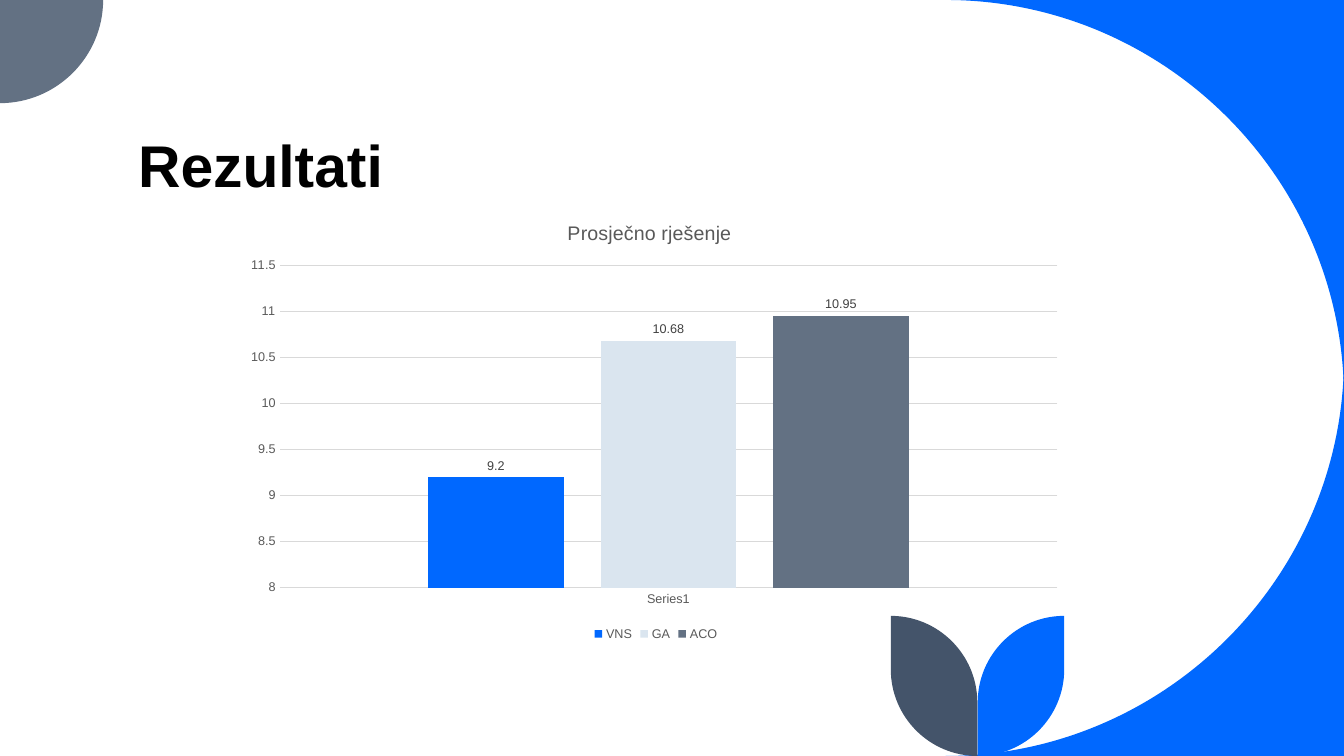
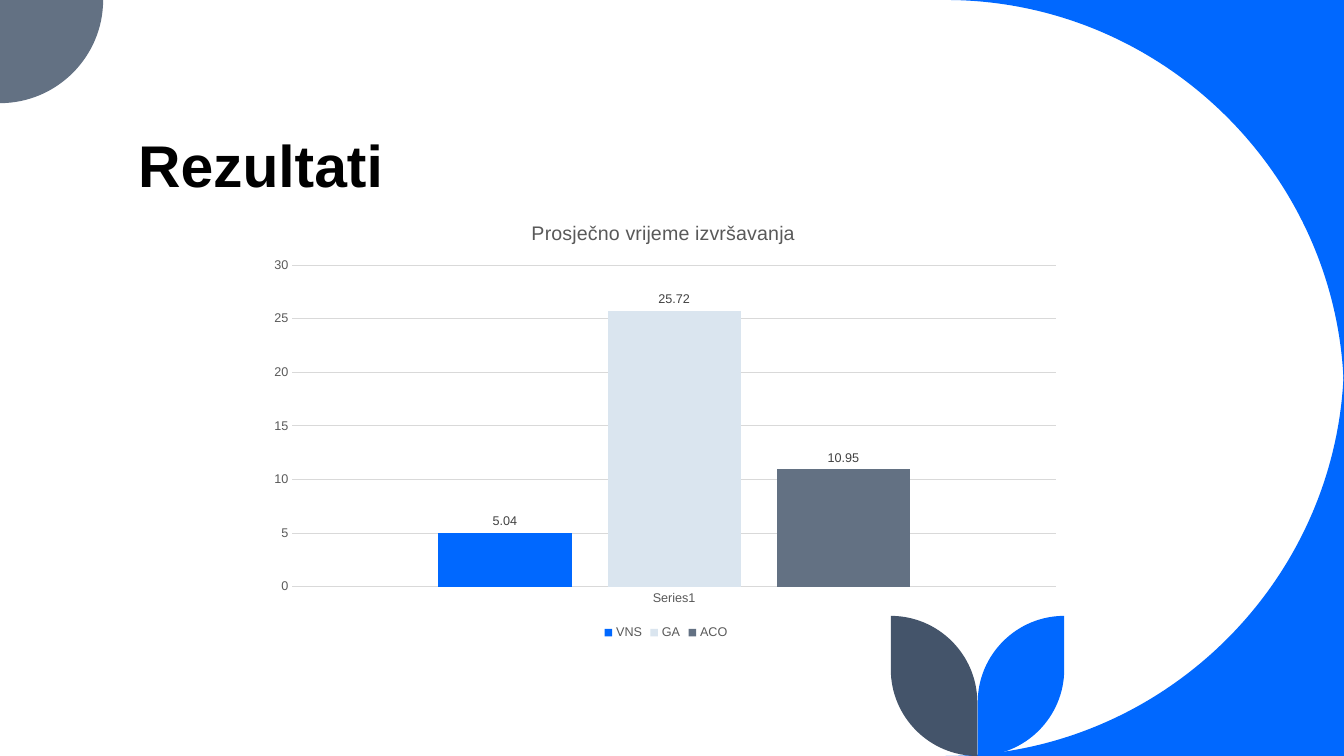
from lxml.etree import SubElement
from pptx import Presentation
from pptx.chart.data import CategoryChartData
from pptx.dml.color import RGBColor
from pptx.enum.chart import XL_CHART_TYPE, XL_LABEL_POSITION, XL_LEGEND_POSITION, XL_TICK_MARK
from pptx.enum.text import MSO_ANCHOR
from pptx.oxml.ns import qn
from pptx.util import Cm, Pt

# Shared style
FONT = "Arial"
BLUE, PALE, SLATE, NAVY = "0068FF", "DAE5EF", "637183", "44546A"
BLACK, TEXT_GREY, LABEL_GREY, LINE_GREY = "000000", "595959", "404040", "D9D9D9"
SERIES = {"VNS": BLUE, "GA": PALE, "ACO": SLATE}


def paint(target, color, size=None, bold=False):
    """Colour a fill, or style a font when a size is given."""
    if size:
        target.name, target.size, target.bold = FONT, Pt(size), bold
        target.color.rgb = RGBColor.from_string(color)
    else:
        target.solid()
        target.fore_color.rgb = RGBColor.from_string(color)


def place(element, index, **fractions):
    """Give a chart part a manual layout, as fractions of the chart."""
    for old_layout in element.findall(qn("c:layout")):
        element.remove(old_layout)
    layout = SubElement(element, qn("c:layout"))
    element.insert(index, layout)
    manual = SubElement(layout, qn("c:manualLayout"))
    if "w" in fractions:
        SubElement(manual, qn("c:layoutTarget"), val="inner")
    for name in ("xMode", "yMode"):
        SubElement(manual, qn("c:" + name), val="edge")
    for name, value in fractions.items():
        SubElement(manual, qn("c:" + name), val=str(value))


# Decorations: colour, quarter arcs (start, bend, end), closing corner
ROUNDNESS = 0.55
decorations = [
    (BLUE, [((23.83, 0), (33.87, 0), (33.87, 10.03))], [(33.87, 0)]),
    (BLUE, [((33.87, 9.02), (33.87, 19.05), (23.83, 19.05))], [(33.87, 19.05)]),
    (SLATE, [((2.6, 0), (2.6, 2.6), (0, 2.6))], [(0, 0)]),
    (BLUE, [((26.82, 16.87), (26.82, 19.05), (24.64, 19.05)),
            ((24.64, 17.7), (24.64, 15.52), (26.82, 15.52))], []),
    (NAVY, [((22.45, 16.87), (22.45, 19.05), (24.63, 19.05)),
            ((24.63, 17.7), (24.63, 15.52), (22.45, 15.52))], []),
]

# Slides: chart title, values, frame, title place, plot place, axis (minimum, maximum, step)
results = [
    ("Prosječno rješenje", (9.2, 10.68, 10.95), (5.99, 5.13, 21.08, 11.13),
     {"x": 0.39, "y": 0.03}, {"x": 0.05, "y": 0.14, "w": 0.93, "h": 0.73}, (8, 11.5, 0.5)),
    ("Prosječno vrijeme izvršavanja", (5.04, 25.72, 10.95), (6.55, 5.13, 20.47, 11.1),
     {"x": 0.33, "y": 0.03}, {"x": 0.04, "y": 0.14, "w": 0.94, "h": 0.73}, (0, 30, 5)),
]

presentation = Presentation()
presentation.slide_width, presentation.slide_height = Cm(33.87), Cm(19.05)

for chart_title, values, frame, title_place, plot_place, scale in results:
    slide = presentation.slides.add_slide(presentation.slide_layouts[6])

    # Corners and leaves
    for color, arcs, corners in decorations:
        outline = []
        for start, bend, end in arcs:
            handles = [tuple(a + ROUNDNESS * (b - a) for a, b in zip(point, bend))
                       for point in (start, end)]
            outline += [start, *handles, end]
        points = [(Cm(x), Cm(y)) for x, y in outline + corners]
        builder = slide.shapes.build_freeform(*points[0])
        builder.add_line_segments(points[1:], close=True)
        shape = builder.convert_to_shape()
        shape.shadow.inherit = False
        paint(shape.fill, color)
        shape.line.fill.background()

        # Turn the three segments of each arc into one curve
        segments = list(shape._element.iter(qn("a:lnTo")))
        for first in range(0, 4 * len(arcs), 4):
            arc_segments = segments[first:first + 3]
            curve = SubElement(arc_segments[0].getparent(), qn("a:cubicBezTo"))
            arc_segments[0].addprevious(curve)
            for segment in arc_segments:
                curve.append(segment[0])
                segment.getparent().remove(segment)

    # Slide title
    title_box = slide.shapes.add_textbox(Cm(3.23), Cm(0.28), Cm(27.15), Cm(4.85))
    text_frame = title_box.text_frame
    text_frame.word_wrap = True
    text_frame.vertical_anchor = MSO_ANCHOR.BOTTOM
    paragraph = text_frame.paragraphs[0]
    paragraph.text = "Rezultati"
    paragraph.line_spacing = 0.8
    paint(paragraph.font, BLACK, 42, bold=True)

    # Chart data
    chart_data = CategoryChartData()
    chart_data.categories = ["Series1"]
    for name, value in zip(SERIES, values):
        chart_data.add_series(name, [value])
    chart = slide.shapes.add_chart(
        XL_CHART_TYPE.COLUMN_CLUSTERED, *[Cm(length) for length in frame], chart_data).chart
    paint(chart.font, BLACK, 10)

    # Chart title and plot area
    paragraph = chart.chart_title.text_frame.paragraphs[0]
    paragraph.text = chart_title
    paint(paragraph.font, TEXT_GREY, 14)
    place(chart.chart_title._element, 1, **title_place)
    place(chart._chartSpace.chart.plotArea, 0, **plot_place)

    # Legend
    chart.has_legend = True
    chart.legend.position = XL_LEGEND_POSITION.BOTTOM
    chart.legend.include_in_layout = False
    paint(chart.legend.font, TEXT_GREY, 9)

    # Axes
    for axis in (chart.category_axis, chart.value_axis):
        axis.major_tick_mark = axis.minor_tick_mark = XL_TICK_MARK.NONE
        paint(axis.tick_labels.font, TEXT_GREY, 9)
    value_axis = chart.value_axis
    value_axis.minimum_scale, value_axis.maximum_scale, value_axis.major_unit = scale
    value_axis.format.line.fill.background()
    for line in (chart.category_axis.format.line, value_axis.major_gridlines.format.line):
        paint(line.fill, LINE_GREY)
        line.width = Pt(0.75)

    # Columns and value labels
    plot = chart.plots[0]
    plot.gap_width, plot.overlap = 219, -27
    plot.vary_by_categories = False
    for series, color in zip(plot.series, SERIES.values()):
        paint(series.format.fill, color)
        labels = series.data_labels
        labels.show_value = True
        labels.position = XL_LABEL_POSITION.OUTSIDE_END
        paint(labels.font, LABEL_GREY, 9)

presentation.save("out.pptx")
